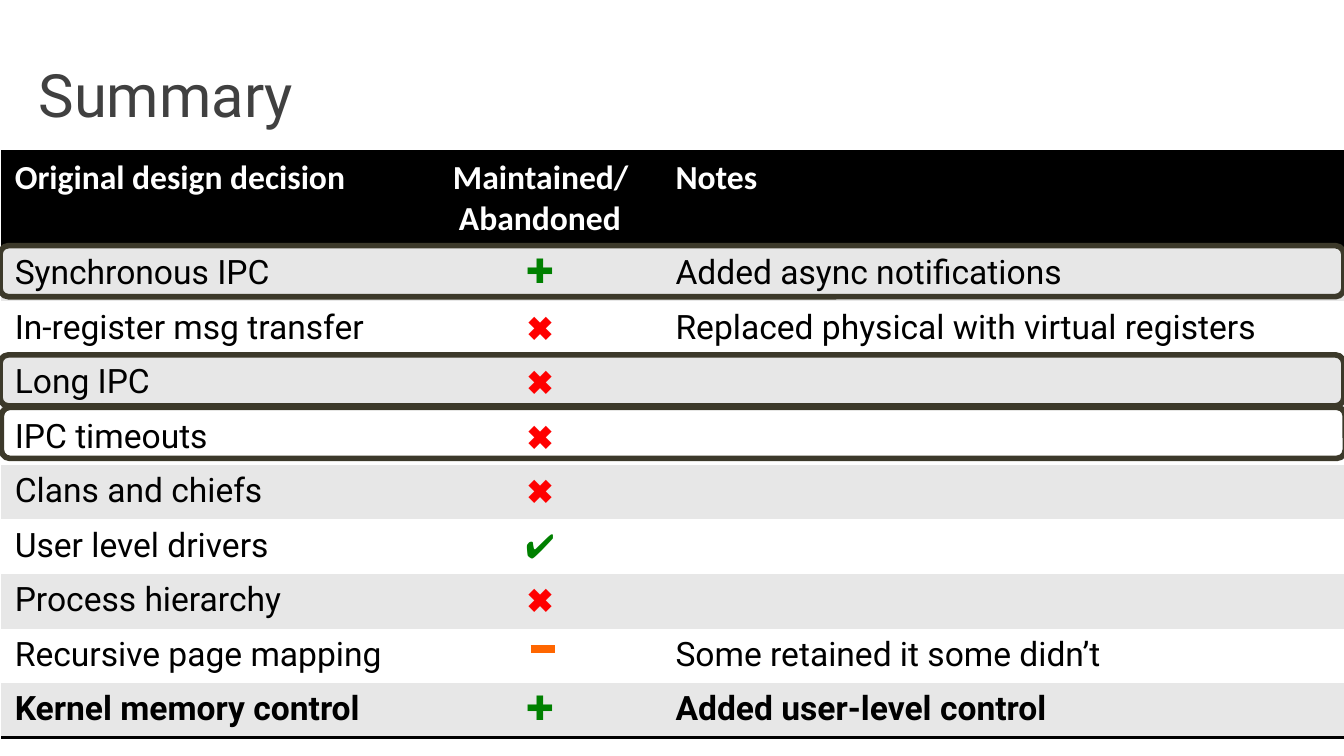
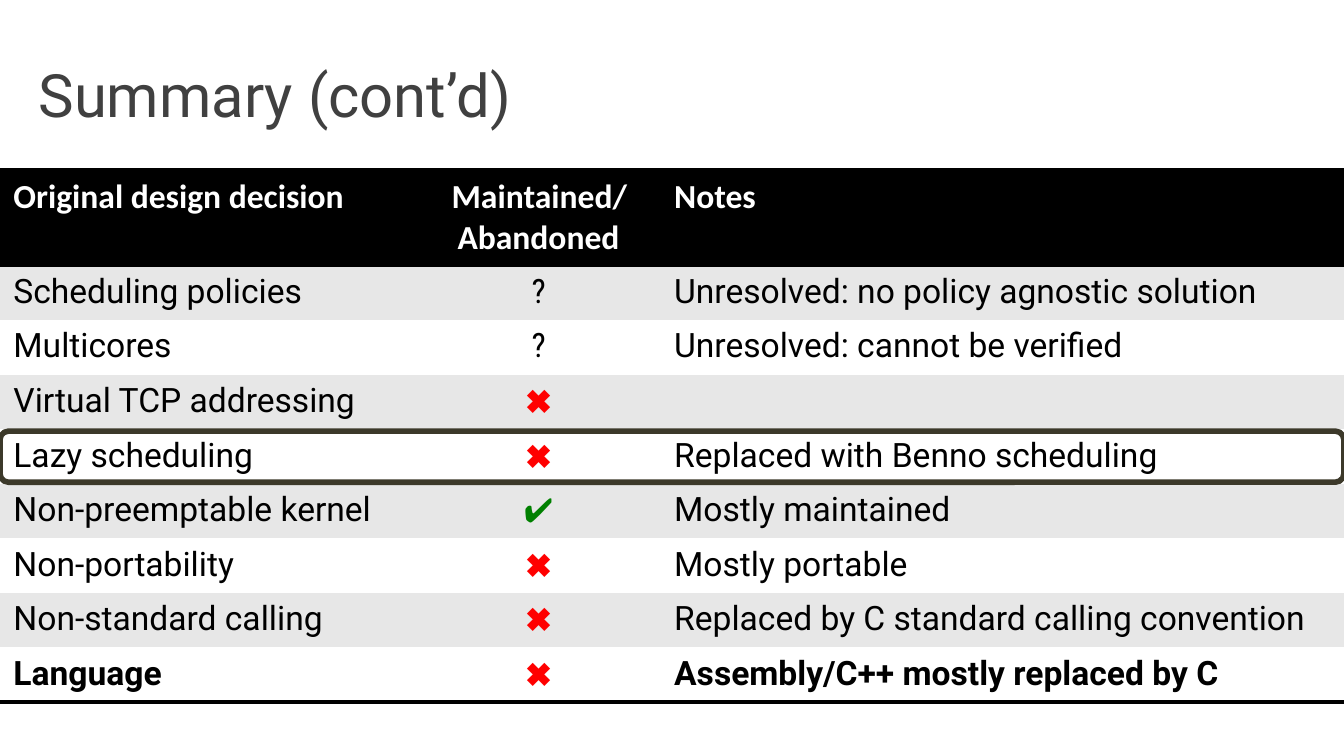
from lxml.etree import SubElement
from pptx import Presentation
from pptx.dml.color import RGBColor
from pptx.enum.shapes import MSO_CONNECTOR as Connector, MSO_SHAPE as Shape
from pptx.enum.text import MSO_ANCHOR as Anchor, MSO_AUTO_SIZE as AutoSize, PP_ALIGN as Align
from pptx.oxml.ns import qn
from pptx.util import Emu, Pt

EMU_PER_PX = 4762.5
SLIDE_W, SLIDE_H = 1920, 1080
COLUMN_WIDTHS = (595, 349, 976)
ROW_H = 78
HIGHLIGHT_H = 73
PLAIN_TABLE_STYLE = "{2D5ABB26-0587-4C30-8999-92F81FD0307C}"
COLORS = {
    "title": "404040", "header": "000000", "header_text": "FFFFFF", "text": "000000",
    "band": "E7E7E7", "plain": "FFFFFF", "rule": "000000", "highlight": "3C392A",
    "kept": "008000", "dropped": "FF0000", "partial": "FF6600",
}
TITLE_FONT = {"name": "Roboto", "size": Pt(32), "bold": False}
HEADER_FONT = {"name": "Calibri", "size": Pt(18), "bold": True}
BODY_FONT = {"name": "Roboto", "size": Pt(18), "bold": False}
MARKS = {
    "✚": ("Arial", "kept"),
    "✔": ("Calibri", "kept"),
    "✖": ("Calibri", "dropped"),
    "?": ("Roboto Condensed", "text"),
}
HEADER = ("Original design decision", "Maintained/Abandoned", "Notes")
DECISIONS = (
    ("Synchronous IPC", "✚", "Added async notifications"),
    ("In-register msg transfer", "✖", "Replaced physical with virtual registers"),
    ("Long IPC", "✖", ""),
    ("IPC timeouts", "✖", ""),
    ("Clans and chiefs", "✖", ""),
    ("User level drivers", "✔", ""),
    ("Process hierarchy", "✖", ""),
    ("Recursive page mapping", "", "Some retained it some didn’t"),
    ("Kernel memory control", "✚", "Added user-level control"),
)
MORE_DECISIONS = (
    ("Scheduling policies", "?", "Unresolved: no policy agnostic solution"),
    ("Multicores", "?", "Unresolved: cannot be verified"),
    ("Virtual TCP addressing", "✖", ""),
    ("Lazy scheduling", "✖", "Replaced with Benno scheduling"),
    ("Non-preemptable kernel", "✔", "Mostly maintained"),
    ("Non-portability", "✖", "Mostly portable"),
    ("Non-standard calling", "✖", "Replaced by C standard calling convention"),
    ("Language", "✖", "Assembly/C++ mostly replaced by C"),
)


def px(length):
    """Turn px into EMU."""
    return Emu(round(length * EMU_PER_PX))


def rgb(key):
    """Look up a named colour."""
    return RGBColor.from_string(COLORS[key])


def set_format(target, values):
    """Set each attribute of the target from the values."""
    for attribute, value in values.items():
        setattr(target, attribute, value)


def write(frame, text, font_values, color, align=Align.LEFT):
    """Write one formatted paragraph into a text frame."""
    paragraph = frame.paragraphs[0]
    paragraph.alignment = align
    if text:
        run = paragraph.add_run()
        run.text = text
        set_format(run.font, font_values)
        run.font.color.rgb = rgb(color)


def add_titled_slide(deck, title):
    """Add a title-only slide and format its title."""
    slide = deck.slides.add_slide(deck.slide_layouts[5])
    heading = slide.shapes.title
    set_format(heading, {"left": px(36), "top": px(44), "width": px(1859), "height": px(180)})
    set_format(heading.text_frame, {"vertical_anchor": Anchor.MIDDLE, "auto_size": AutoSize.NONE})
    write(heading.text_frame, title, TITLE_FONT, "title")
    return slide


def rule_cell(cell, sides):
    """Draw black rules on the given sides of a cell."""
    properties = cell._tc.get_or_add_tcPr()
    for side in sides:
        rule = SubElement(properties, qn(f"a:ln{side}"), w=str(Pt(2)))
        fill = SubElement(rule, qn("a:solidFill"))
        SubElement(fill, qn("a:srgbClr"), val=COLORS["rule"])


def fill_cell(cell, color):
    """Give a cell a solid fill."""
    cell.fill.solid()
    cell.fill.fore_color.rgb = rgb(color)


def add_decision_table(slide, left, top, decisions):
    """Add the table of design decisions with banded rows."""
    row_count = len(decisions) + 1
    table = slide.shapes.add_table(
        row_count, len(HEADER), px(left), px(top), px(SLIDE_W), px(ROW_H * row_count)
    ).table
    table.horz_banding = False
    table._tbl.tblPr.find(qn("a:tableStyleId")).text = PLAIN_TABLE_STYLE
    for column, width in zip(table.columns, COLUMN_WIDTHS):
        column.width = px(width)
    for row in table.rows:
        row.height = px(ROW_H)

    for column, label in enumerate(HEADER):
        cell = table.cell(0, column)
        rule_cell(cell, "TB")
        fill_cell(cell, "header")
        align = Align.CENTER if column == 1 else Align.LEFT
        write(cell.text_frame, label, HEADER_FONT, "header_text", align)

    for row, (decision, mark, note) in enumerate(decisions, 1):
        is_last = row == len(decisions)
        text_font = BODY_FONT | {"bold": is_last}
        mark_face, mark_color = MARKS.get(mark, ("Calibri", "text"))
        entries = (
            (decision, text_font, "text", Align.LEFT),
            (mark, BODY_FONT | {"name": mark_face}, mark_color, Align.CENTER),
            (note, text_font, "text", Align.LEFT),
        )
        for column, entry in enumerate(entries):
            cell = table.cell(row, column)
            if is_last:
                rule_cell(cell, "B")
            fill_cell(cell, "band" if row % 2 else "plain")
            write(cell.text_frame, *entry)


def add_partial_mark(slide, left, right, y):
    """Add the orange dash that marks a partly kept decision."""
    dash = slide.shapes.add_connector(Connector.STRAIGHT, px(left), px(y), px(right), px(y))
    dash.line.color.rgb = rgb("partial")
    dash.line.width = Pt(4.5)
    SubElement(dash._element.spPr, qn("a:effectLst"))


def add_highlight(slide, left, top):
    """Outline one table row with a rounded frame."""
    highlight = slide.shapes.add_shape(
        Shape.ROUNDED_RECTANGLE, px(left), px(top), px(SLIDE_W), px(HIGHLIGHT_H)
    )
    highlight.shadow.inherit = False
    highlight.fill.background()
    highlight.line.color.rgb = rgb("highlight")
    highlight.line.width = Pt(3)


def main():
    """Build both summary slides and save the deck."""
    deck = Presentation()
    set_format(deck, {"slide_width": px(SLIDE_W), "slide_height": px(SLIDE_H)})

    summary = add_titled_slide(deck, "Summary")
    add_decision_table(summary, 2, 216, DECISIONS)
    add_partial_mark(summary, 758, 793, 927)
    for left, top in ((0, 351), (0, 507), (2, 582)):
        add_highlight(summary, left, top)

    continued = add_titled_slide(deck, "Summary (cont’d)")
    add_decision_table(continued, 0, 243, MORE_DECISIONS)
    add_highlight(continued, 0, 616)

    deck.save("out.pptx")


if __name__ == "__main__":
    main()
